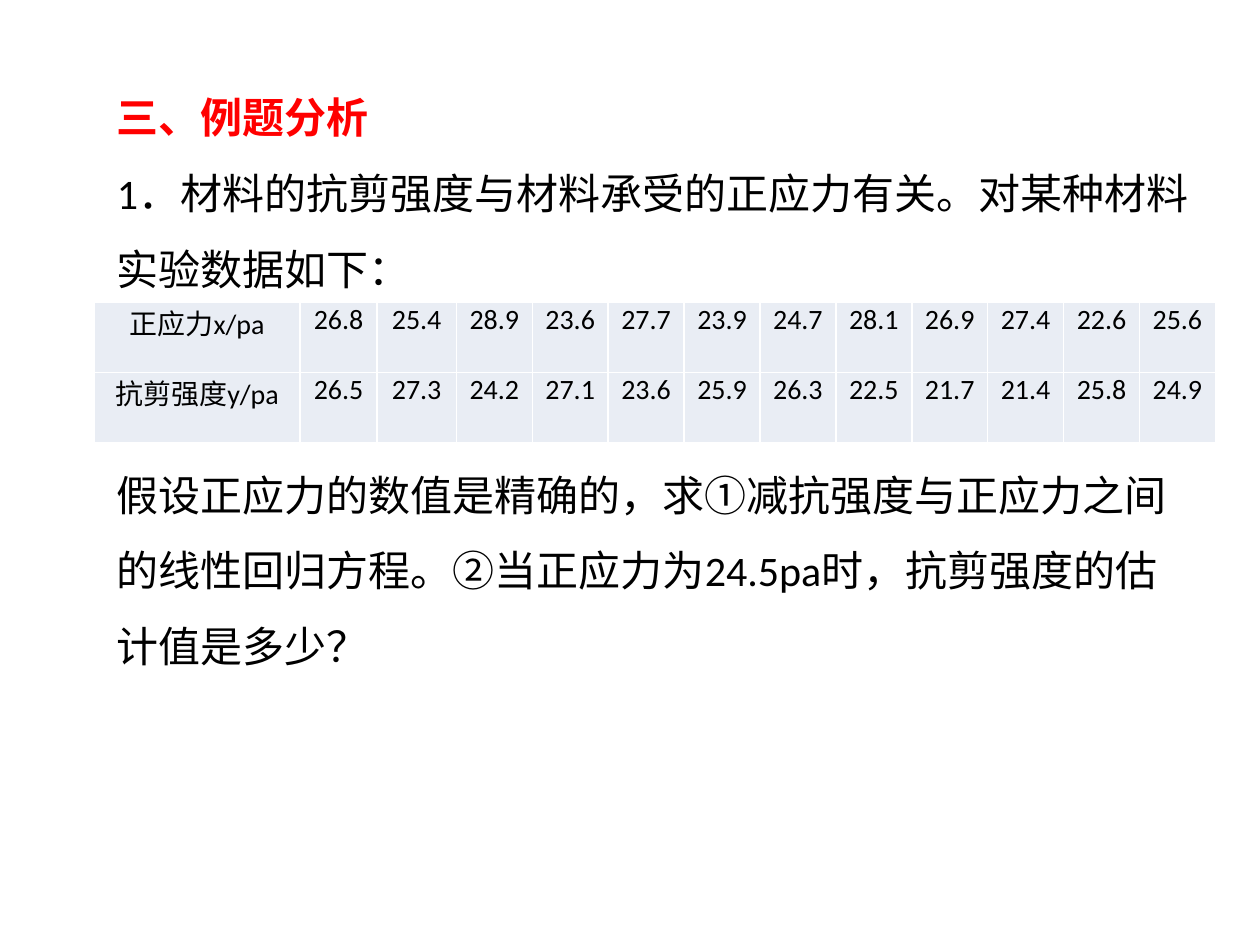
from lxml import etree
from pptx import Presentation
from pptx.dml.color import RGBColor
from pptx.enum.text import MSO_ANCHOR, MSO_AUTO_SIZE, PP_ALIGN
from pptx.oxml.ns import qn
from pptx.util import Cm, Pt

CENTER, LEFT = PP_ALIGN.CENTER, PP_ALIGN.LEFT
TOP = MSO_ANCHOR.TOP
NO_FIT = MSO_AUTO_SIZE.NONE
FONT = "Calibri"
COLORS = {"heading": "FF0000", "text": "000000", "cell": "E9EDF4", "border": "FFFFFF"}
TEXT_LEFT, TEXT_WIDTH = 2.1, 22.2

HEADING = "三、例题分析"
PROBLEM = "1．材料的抗剪强度与材料承受的正应力有关。对某种材料实验数据如下："
QUESTION = "假设正应力的数值是精确的，求①减抗强度与正应力之间的线性回归方程。②当正应力为24.5pa时，抗剪强度的估计值是多少？"
DATA = {
    "正应力x/pa": [26.8, 25.4, 28.9, 23.6, 27.7, 23.9, 24.7, 28.1, 26.9, 27.4, 22.6, 25.6],
    "抗剪强度y/pa": [26.5, 27.3, 24.2, 27.1, 23.6, 25.9, 26.3, 22.5, 21.7, 21.4, 25.8, 24.9],
}
COL_WIDTHS = [4.15, 1.55, 1.6] + [1.53] * 10
ROW_HEIGHT = 1.41


def add_run(p, text, size, color="text", bold=False):
    r = p.add_run()
    r.text = text
    r.font.name = FONT
    r.font.size = Pt(size)
    r.font.bold = bold
    r.font.color.rgb = RGBColor.from_string(COLORS[color])


def place(sp, top, height):
    sp.left, sp.top = Cm(TEXT_LEFT), Cm(top)
    sp.width, sp.height = Cm(TEXT_WIDTH), Cm(height)
    tf = sp.text_frame
    tf.word_wrap = True
    tf.auto_size = NO_FIT
    tf.vertical_anchor = TOP
    return tf


def fill_title(sp):
    p = place(sp, 1.71, 1.27).paragraphs[0]
    p.alignment = LEFT
    add_run(p, HEADING, 24, "heading", True)


def fill_body(sp):
    tf = place(sp, 2.74, 11)
    for i, (text, gap) in enumerate([(PROBLEM, 0), (QUESTION, 86)]):
        p = tf.add_paragraph() if i else tf.paragraphs[0]
        p.line_spacing = 1.5
        p.space_before = Pt(gap)
        pPr = p._p.get_or_add_pPr()
        pPr.set("marL", "0")
        pPr.set("indent", "0")
        etree.SubElement(pPr, qn("a:buNone"))
        add_run(p, text, 24)


def format_cell(cell, text):
    cell.margin_left = cell.margin_right = Cm(0.18)
    cell.margin_top = cell.margin_bottom = 0
    tcPr = cell._tc.get_or_add_tcPr()
    for side in ("L", "R", "T", "B"):
        ln = etree.SubElement(tcPr, qn("a:ln" + side), w=str(Pt(1)))
        fill = etree.SubElement(ln, qn("a:solidFill"))
        etree.SubElement(fill, qn("a:srgbClr"), val=COLORS["border"])
    cell.fill.solid()
    cell.fill.fore_color.rgb = RGBColor.from_string(COLORS["cell"])
    p = cell.text_frame.paragraphs[0]
    p.alignment = CENTER
    add_run(p, text, 16)


def add_data_table(s):
    frame = s.shapes.add_table(len(DATA), len(COL_WIDTHS), Cm(1.9), Cm(6.1),
                               Cm(sum(COL_WIDTHS)), Cm(ROW_HEIGHT * len(DATA)))
    table = frame.table
    for col, width in zip(table.columns, COL_WIDTHS):
        col.width = Cm(width)
    for row, (label, values) in zip(table.rows, DATA.items()):
        row.height = Cm(ROW_HEIGHT)
        for cell, value in zip(row.cells, [label] + values):
            format_cell(cell, str(value))


def main():
    prs = Presentation()
    prs.slide_width, prs.slide_height = Cm(25.4), Cm(19.05)
    s = prs.slides.add_slide(prs.slide_layouts[1])
    fill_title(s.shapes.title)
    fill_body(s.placeholders[1])
    add_data_table(s)
    prs.save("out.pptx")


main()
